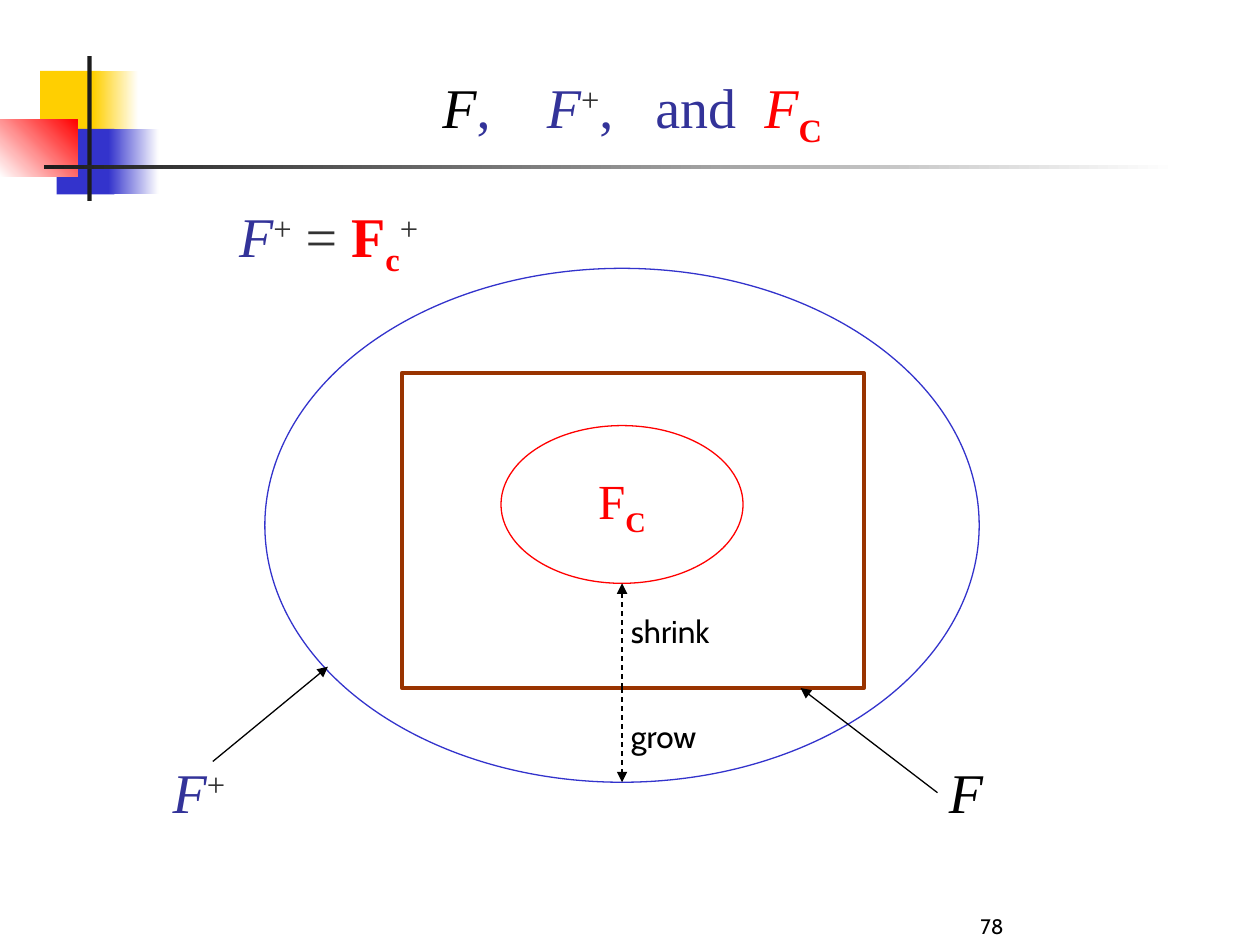
"""Build the slide that compares F, its closure F+ and its cover FC."""
from lxml.etree import SubElement
from pptx import Presentation
from pptx.dml.color import RGBColor
from pptx.enum.dml import MSO_LINE_DASH_STYLE as Dash
from pptx.enum.shapes import MSO_CONNECTOR as Link, MSO_SHAPE as Preset
from pptx.enum.text import MSO_ANCHOR as Anchor, MSO_AUTO_SIZE as Fit, PP_ALIGN as Align
from pptx.oxml.ns import qn
from pptx.util import Cm, Pt

THEME = {
    "yellow": "FFCF01", "blue": "3333CC", "red": "FF0000", "white": "FFFFFF",
    "ink": "1C1C1C", "black": "000000", "navy": "333399", "grey": "333333",
    "brown": "993300", "serif": "Times New Roman", "sans": "Cabin",
    "formula": 32, "core": 28, "label": 18, "number": 12,
    "thin": 0.75, "thick": 2.25, "super": 30000, "sub": -25000, "space": 800,
}

ORNAMENTS = [
    ((0.81, 1.43, 1.22, 1.32), ["yellow"], 0),
    ((1.88, 1.43, 0.91, 1.32), ["yellow", "white"], 0),
    ((1.14, 2.6, 1.17, 1.32), ["blue"], 0),
    ((2.18, 2.6, 1.02, 1.32), ["blue", "white"], 0),
    ((0, 2.4, 1.56, 1.17), ["white", "red"], 45),
    ((1.76, 1.13, 0.09, 2.92), ["ink"], 0),
    ((0.89, 3.33, 22.86, 0.08), ["ink", "white"], 0),
]

ITALIC, BOLD = {"italic": True}, {"bold": True}
SUB, SUPER = {"baseline": "sub"}, {"baseline": "super"}
F_BLACK = ("F", "black", ITALIC)
CLOSURE = [("F", "navy", ITALIC), ("+", "grey", SUPER)]
COVER_MARK = ("C", "red", BOLD | SUB)


def gap(spaces):
    return " ", "navy", {"extra": spaces - 1}


TITLE = [F_BLACK, (",", "navy", {}), gap(4), *CLOSURE, (",", "navy", {}), gap(3),
         ("and", "navy", {}), gap(2), ("F", "red", ITALIC), COVER_MARK]
EQUATION = [*CLOSURE, (" = ", "grey", {}), ("F", "red", BOLD),
            ("c", "red", BOLD | SUB), ("+", "grey", SUPER)]
CORE = [("F", "red", {}), COVER_MARK]

OUTER = (5.34, 5.41, 14.4, 10.36)
INNER = (10.1, 8.58, 4.88, 3.18)
FRAME = (8.1, 7.52, 9.32, 6.35)
SETS = [
    (Preset.OVAL, OUTER, None, "blue", "thin", []),
    (Preset.OVAL, INNER, "white", "red", "thin", CORE),
    (Preset.RECTANGLE, FRAME, None, "brown", "thick", []),
]

FORMULA, LABEL, NUMBER = ("serif", "formula"), ("sans", "label"), ("sans", "number")
SNUG = {"word_wrap": False, "auto_size": Fit.SHAPE_TO_FIT_TEXT}
CAPTIONS = [
    ((2.9, 1.33, 19.69, 1.8), TITLE, FORMULA, Align.CENTER,
     {"word_wrap": True, "auto_size": Fit.SHAPE_TO_FIT_TEXT}),
    ((18.88, 15.14, 1.22, 1.63), [F_BLACK], FORMULA, Align.LEFT, SNUG),
    ((3.23, 15.14, 1.7, 1.63), CLOSURE, FORMULA, Align.LEFT, SNUG),
    ((4.57, 3.94, 4.11, 1.8), EQUATION, FORMULA, Align.LEFT, SNUG),
    ((12.47, 14.33, 2.03, 1.02), [("grow", "black", {})], LABEL, Align.LEFT, SNUG),
    ((12.47, 12.22, 2.36, 1.02), [("shrink", "black", {})], LABEL, Align.LEFT, SNUG),
    ((17.36, 17.78, 5.28, 1.27), [("78", "black", {})], NUMBER, Align.CENTER,
     {"word_wrap": True, "vertical_anchor": Anchor.BOTTOM}),
]


def bottom(box):
    return box[1] + box[3]


AXIS = OUTER[0] + OUTER[2] / 2
ARROWS = [
    ((18.9, 15.98), (16.14, bottom(FRAME)), Dash.SOLID),
    ((4.29, 15.35), (6.61, 13.44), Dash.SOLID),
    ((AXIS, bottom(FRAME)), (AXIS, bottom(OUTER)), Dash.DASH),
    ((AXIS, bottom(FRAME)), (AXIS, bottom(INNER)), Dash.DASH),
]


def color(name):
    return RGBColor.from_string(THEME[name])


def apply(target, values):
    for key, value in values.items():
        setattr(target, key, value)


def paint(fill, names, angle=0):
    if len(names) == 1:
        fill.solid()
        fill.fore_color.rgb = color(names[0])
        return
    fill.gradient()
    fill.gradient_angle = angle
    for stop, name in zip(fill.gradient_stops, names):
        stop.color.rgb = color(name)


def write(frame, runs, face, align, layout):
    apply(frame, layout)
    paragraph = frame.paragraphs[0]
    paragraph.alignment = align
    family, size = face
    for text, tint, style in runs:
        run = paragraph.add_run()
        run.text = text
        apply(run.font, {"name": THEME[family], "size": Pt(THEME[size]),
                         "bold": style.get("bold", False),
                         "italic": style.get("italic", False)})
        run.font.color.rgb = color(tint)
        properties = run._r.get_or_add_rPr()
        if "baseline" in style:
            properties.set("baseline", str(THEME[style["baseline"]]))
        if "extra" in style:
            properties.set("spc", str(style["extra"] * THEME["space"]))


def add_preset(slide, preset, box):
    shape = slide.shapes.add_shape(preset, *map(Cm, box))
    shape.shadow.inherit = False
    return shape


def add_arrow(slide, start, end, dash):
    arrow = slide.shapes.add_connector(Link.STRAIGHT, *map(Cm, start + end))
    arrow.line.color.rgb = color("black")
    apply(arrow.line, {"width": Pt(THEME["thin"]), "dash_style": dash})
    SubElement(arrow.line._get_or_add_ln(), qn("a:tailEnd"), type="triangle")
    SubElement(arrow._element.spPr, qn("a:effectLst"))


def main():
    deck = Presentation()
    apply(deck, {"slide_width": Cm(25.4), "slide_height": Cm(19.05)})
    slide = deck.slides.add_slide(deck.slide_layouts[6])
    for box, tints, angle in ORNAMENTS:
        ornament = add_preset(slide, Preset.RECTANGLE, box)
        paint(ornament.fill, tints, angle)
        ornament.line.fill.background()
    for preset, box, inside, outline, weight, runs in SETS:
        region = add_preset(slide, preset, box)
        if inside:
            paint(region.fill, [inside])
        else:
            region.fill.background()
        region.line.color.rgb = color(outline)
        region.line.width = Pt(THEME[weight])
        if runs:
            write(region.text_frame, runs, ("serif", "core"), Align.CENTER,
                  {"word_wrap": False, "vertical_anchor": Anchor.MIDDLE})
    for arrow in ARROWS:
        add_arrow(slide, *arrow)
    for box, *content in CAPTIONS:
        write(slide.shapes.add_textbox(*map(Cm, box)).text_frame, *content)
    deck.save("out.pptx")


if __name__ == "__main__":
    main()
